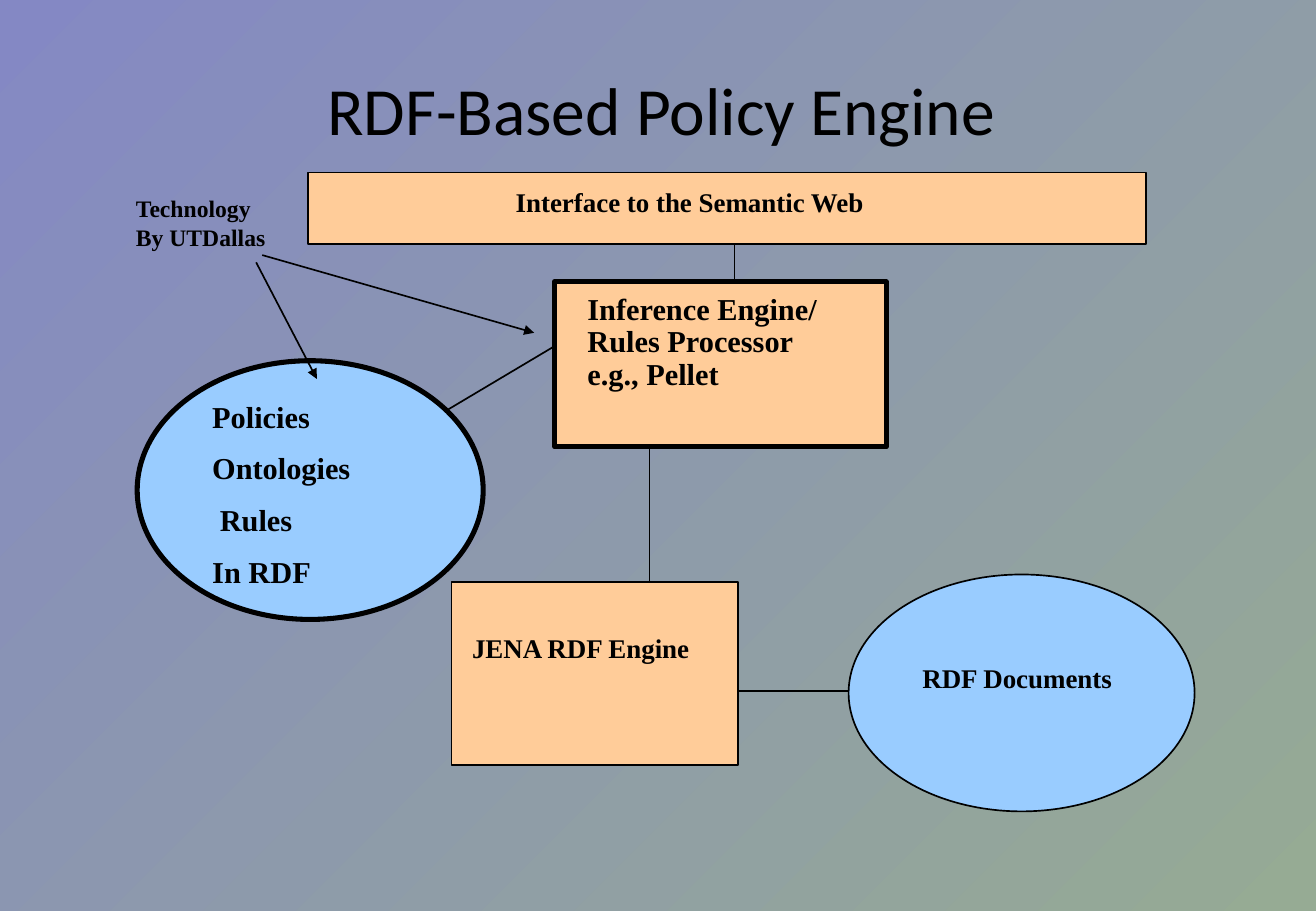
from dataclasses import dataclass

from lxml import etree
from pptx import Presentation
from pptx.dml import color
from pptx.enum import shapes, text
from pptx.oxml import ns
from pptx.slide import Slide
from pptx.util import Inches, Pt

COLORS = {
    "ink": "000000",
    "process": "FFCC99",
    "data": "99CCFF",
    "background_start": "8488C4",
    "background_end": "96AB94",
}
RECTANGLE = shapes.MSO_SHAPE.RECTANGLE
OVAL = shapes.MSO_SHAPE.OVAL


@dataclass
class Node:
    kind: shapes.MSO_SHAPE
    box: tuple[float, float, float, float]
    fill: str
    line_width: float = 1


@dataclass
class Label:
    lines: list[str]
    box: tuple[float, float, float, float]
    size: float
    wrap: bool = True
    line_spacing: float = 0.9
    gap: float = 0
    insets: tuple[float, float] = (0.1, 0.05)


@dataclass
class Link:
    start: tuple[float, float]
    end: tuple[float, float]
    arrow: bool = False


LINKS = [
    Link((5.35, 3.25), (5.35, 5.34)),
    Link((3.24, 3.64), (4.82, 2.7)),
    Link((6.09, 5.69), (7.19, 5.69)),
    Link((6.05, 1.82), (6.05, 2.78)),
]
NODES = [
    Node(OVAL, (1.13, 2.97, 2.85, 2.13), "data", 3),
    Node(RECTANGLE, (3.72, 4.79, 2.36, 1.51), "process"),
    Node(OVAL, (6.99, 4.73, 2.85, 1.95), "data"),
    Node(RECTANGLE, (4.57, 2.32, 2.73, 1.36), "process", 3),
    Node(RECTANGLE, (2.54, 1.42, 6.9, 0.59), "process"),
]
LABELS = [
    Label(["Policies", "Ontologies", " Rules", "In RDF"],
          (1.65, 3.26, 2.23, 1.65), 18, gap=11.2),
    Label(["JENA RDF Engine"], (3.79, 5.18, 2.77, 0.34), 16),
    Label(["RDF Documents"], (7.5, 5.43, 1.77, 0.34), 16, wrap=False),
    Label(["Inference Engine/", "Rules Processor", "e.g., Pellet"],
          (4.74, 2.37, 2.09, 0.91), 18, wrap=False),
    Label(["Interface to the Semantic Web"], (4.15, 1.51, 4.56, 0.34), 16),
    Label(["Technology", "By UTDallas"], (1.12, 1.6, 1.86, 0.47), 14,
          line_spacing=1.0, insets=(0, 0)),
]
ARROWS = [
    Link((2.16, 2.1), (4.4, 2.74), arrow=True),
    Link((2.11, 2.16), (2.61, 3.12), arrow=True),
]


def rgb(name: str) -> color.RGBColor:
    return color.RGBColor.from_string(COLORS[name])


def set_insets(frame, horizontal: float, vertical: float) -> None:
    frame.margin_left = frame.margin_right = Inches(horizontal)
    frame.margin_top = frame.margin_bottom = Inches(vertical)


def paint_background(slide: Slide) -> None:
    fill = slide.background.fill
    fill.gradient()
    fill.gradient_angle = 315
    for stop, name in zip(fill.gradient_stops, ("background_start", "background_end")):
        stop.color.rgb = rgb(name)


def add_title(slide: Slide, wording: str) -> None:
    title = slide.shapes.title
    title.left, title.top, title.width, title.height = map(Inches, (0.57, 0, 9.75, 1.25))
    frame = title.text_frame
    frame.text = wording
    frame.auto_size = text.MSO_AUTO_SIZE.NONE
    frame.vertical_anchor = text.MSO_ANCHOR.BOTTOM
    set_insets(frame, 0.05, 0.02)
    paragraph = frame.paragraphs[0]
    paragraph.alignment = text.PP_ALIGN.CENTER
    paragraph.font.name = "Calibri"
    paragraph.font.size = Pt(40)
    paragraph.font.color.rgb = rgb("ink")


def add_node(slide: Slide, node: Node) -> None:
    shape = slide.shapes.add_shape(node.kind, *map(Inches, node.box))
    shape.shadow.inherit = False
    shape.fill.solid()
    shape.fill.fore_color.rgb = rgb(node.fill)
    shape.line.color.rgb = rgb("ink")
    shape.line.width = Pt(node.line_width)


def add_label(slide: Slide, label: Label) -> None:
    frame = slide.shapes.add_textbox(*map(Inches, label.box)).text_frame
    frame.word_wrap = label.wrap
    frame.auto_size = text.MSO_AUTO_SIZE.SHAPE_TO_FIT_TEXT
    set_insets(frame, *label.insets)
    frame.text = "\n".join(label.lines)
    for index, paragraph in enumerate(frame.paragraphs):
        paragraph.line_spacing = label.line_spacing
        paragraph.space_before = Pt(label.gap if index else 0)
        paragraph.font.name = "Times New Roman"
        paragraph.font.size = Pt(label.size)
        paragraph.font.bold = True
        paragraph.font.color.rgb = rgb("ink")


def add_link(slide: Slide, link: Link) -> None:
    connector = slide.shapes.add_connector(
        shapes.MSO_CONNECTOR.STRAIGHT, *map(Inches, link.start + link.end))
    connector.line.color.rgb = rgb("ink")
    connector.line.width = Pt(1)
    if link.arrow:
        etree.SubElement(connector.line._get_or_add_ln(), ns.qn("a:tailEnd"), type="triangle")
    etree.SubElement(connector._element.spPr, ns.qn("a:effectLst"))


def main() -> None:
    presentation = Presentation()
    presentation.slide_width = Inches(10.84)
    presentation.slide_height = Inches(7.5)
    slide = presentation.slides.add_slide(presentation.slide_layouts[5])
    paint_background(slide)
    add_title(slide, "RDF-Based Policy Engine")
    for link in LINKS:
        add_link(slide, link)
    for node in NODES:
        add_node(slide, node)
    for label in LABELS:
        add_label(slide, label)
    for arrow in ARROWS:
        add_link(slide, arrow)
    presentation.save("out.pptx")


if __name__ == "__main__":
    main()
